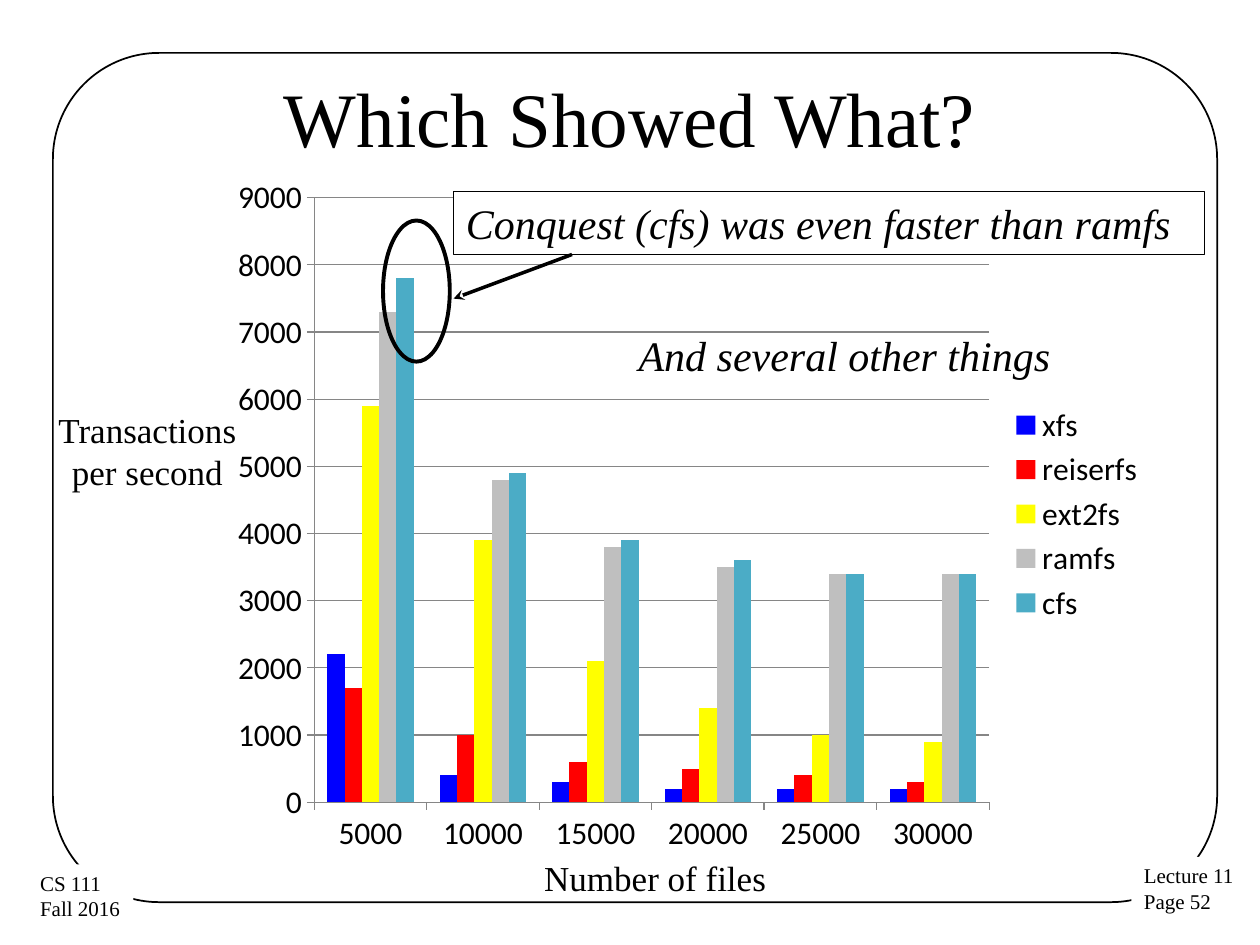
from dataclasses import dataclass

import lxml.etree
import pptx
import pptx.chart.chart
import pptx.chart.data
import pptx.dml.color
import pptx.enum.chart
import pptx.enum.shapes
import pptx.enum.text
import pptx.oxml
import pptx.oxml.ns
import pptx.shapes.base
import pptx.slide
import pptx.util

Inches, Pt = pptx.util.Inches, pptx.util.Pt
RGBColor = pptx.dml.color.RGBColor
Shape = pptx.enum.shapes.MSO_SHAPE
Align = pptx.enum.text.PP_ALIGN
Anchor = pptx.enum.text.MSO_ANCHOR
qn = pptx.oxml.ns.qn

BLACK = RGBColor(0x00, 0x00, 0x00)
WHITE = RGBColor(0xFF, 0xFF, 0xFF)
GRID_GRAY = RGBColor(0x86, 0x86, 0x86)
BLUE = RGBColor(0x00, 0x00, 0xFF)
RED = RGBColor(0xFF, 0x00, 0x00)
YELLOW = RGBColor(0xFF, 0xFF, 0x00)
SILVER = RGBColor(0xBF, 0xBF, 0xBF)
TEAL = RGBColor(0x4B, 0xAC, 0xC6)

Box = tuple[float, float, float, float]


@dataclass
class Label:
    lines: list[str]
    box: Box
    size: float
    italic: bool = False
    align: Align = Align.LEFT
    anchor: Anchor = Anchor.TOP
    wrap: bool = False
    fill: RGBColor | None = None
    outline: float | None = None


@dataclass
class FileSystem:
    name: str
    rates: list[int]
    color: RGBColor


FILE_COUNTS = [5000, 10000, 15000, 20000, 25000, 30000]
FILE_SYSTEMS = [
    FileSystem("xfs", [2200, 400, 300, 200, 200, 200], BLUE),
    FileSystem("reiserfs", [1700, 1000, 600, 500, 400, 300], RED),
    FileSystem("ext2fs", [5900, 3900, 2100, 1400, 1000, 900], YELLOW),
    FileSystem("ramfs", [7300, 4800, 3800, 3500, 3400, 3400], SILVER),
    FileSystem("cfs", [7800, 4900, 3900, 3600, 3400, 3400], TEAL),
]

FRAME_LABELS = [
    Label(["Lecture 11", "Page 52"], (8.98, 6.8, 0.92, 0.51), 12, fill=WHITE),
    Label(["CS 111", "Fall 2016"], (0.22, 6.86, 0.84, 0.51), 12, fill=WHITE),
    Label(["Which Showed What?"], (0.5, 0.3, 9, 1.25), 44,
          align=Align.CENTER, anchor=Anchor.MIDDLE, wrap=True),
]
CHART_LABELS = [
    Label(["Number of files"], (4.22, 6.75, 1.99, 0.44), 20),
    Label(["Transactions per second"], (0.31, 3.19, 1.72, 0.77), 20,
          align=Align.CENTER, wrap=True),
    Label(["Conquest (cfs) was even faster than ramfs"],
          (3.6, 1.52, 5.96, 0.5), 24, italic=True, fill=WHITE, outline=0.75),
    Label(["And several other things"], (4.97, 2.57, 3.63, 0.5), 24, italic=True),
]


def add_label(slide: pptx.slide.Slide, label: Label) -> None:
    text_box = slide.shapes.add_textbox(*map(Inches, label.box))
    if label.fill is not None:
        text_box.fill.solid()
        text_box.fill.fore_color.rgb = label.fill
    if label.outline is not None:
        text_box.line.color.rgb = BLACK
        text_box.line.width = Pt(label.outline)
    frame = text_box.text_frame
    frame.word_wrap = label.wrap
    frame.vertical_anchor = label.anchor
    frame.text = "\n".join(label.lines)
    font_format = {"name": "Times New Roman", "size": Pt(label.size),
                   "italic": label.italic}
    for paragraph in frame.paragraphs:
        paragraph.alignment = label.align
        font = paragraph.runs[0].font
        font.color.rgb = BLACK
        for attribute, value in font_format.items():
            setattr(font, attribute, value)


def add_outline(slide: pptx.slide.Slide, kind: Shape, box: Box,
                width: float) -> pptx.shapes.base.BaseShape:
    outline = slide.shapes.add_shape(kind, *map(Inches, box))
    outline.shadow.inherit = False
    outline.fill.background()
    outline.line.color.rgb = BLACK
    outline.line.width = Pt(width)
    return outline


def add_arrow(slide: pptx.slide.Slide, start: tuple[float, float],
              end: tuple[float, float]) -> None:
    arrow = slide.shapes.add_connector(
        pptx.enum.shapes.MSO_CONNECTOR.STRAIGHT, *map(Inches, start + end))
    arrow.line.color.rgb = BLACK
    arrow.line.width = Pt(2)
    line = arrow.line._get_or_add_ln()
    lxml.etree.SubElement(line, qn("a:tailEnd"), type="stealth")
    lxml.etree.SubElement(arrow._element.spPr, qn("a:effectLst"))


def place_plot(chart: pptx.chart.chart.Chart, box: Box) -> None:
    """Fix the inner plot area, given as fractions of the chart."""
    plot_area = chart._chartSpace.chart.plotArea
    for old in plot_area.findall(qn("c:layout")):
        plot_area.remove(old)
    layout = pptx.oxml.parse_xml(
        f"<c:layout {pptx.oxml.ns.nsdecls('c')}><c:manualLayout/></c:layout>")
    settings = {"layoutTarget": "inner", "xMode": "edge", "yMode": "edge",
                **dict(zip("xywh", map(str, box)))}
    for tag, value in settings.items():
        lxml.etree.SubElement(layout[0], qn(f"c:{tag}"), val=value)
    plot_area.insert(0, layout)


def add_rate_chart(slide: pptx.slide.Slide, box: Box) -> None:
    rates = pptx.chart.data.CategoryChartData(number_format="General")
    rates.categories = FILE_COUNTS
    for system in FILE_SYSTEMS:
        rates.add_series(system.name, system.rates)
    chart = slide.shapes.add_chart(
        pptx.enum.chart.XL_CHART_TYPE.COLUMN_CLUSTERED,
        *map(Inches, box), rates).chart
    chart.has_title = False
    chart.has_legend = True
    chart.legend.position = pptx.enum.chart.XL_LEGEND_POSITION.RIGHT
    chart.legend.include_in_layout = False
    chart.font.name = "Calibri"
    chart.font.size = Pt(18)
    chart.font.color.rgb = BLACK

    # Bars
    plot = chart.plots[0]
    for attribute, value in {"gap_width": 150, "overlap": 0,
                             "vary_by_categories": False}.items():
        setattr(plot, attribute, value)
    for series, system in zip(plot.series, FILE_SYSTEMS):
        series.invert_if_negative = False
        series.format.fill.solid()
        series.format.fill.fore_color.rgb = system.color

    # Axes and gridlines
    rate_axis = chart.value_axis
    rate_format = {"minimum_scale": 0, "maximum_scale": 9000,
                   "major_unit": 1000, "has_major_gridlines": True}
    for attribute, value in rate_format.items():
        setattr(rate_axis, attribute, value)
    for axis in (chart.category_axis, rate_axis):
        axis.major_tick_mark = pptx.enum.chart.XL_TICK_MARK.OUTSIDE
        axis.tick_labels.font.size = Pt(18)
    for part in (chart.category_axis, rate_axis, rate_axis.major_gridlines):
        part.format.line.color.rgb = GRID_GRAY
        part.format.line.width = Pt(0.75)
    place_plot(chart, (0.1, 0.05, 0.72, 0.86))


def main() -> None:
    deck = pptx.Presentation()
    deck.slide_width, deck.slide_height = Inches(10), Inches(7.5)
    slide = deck.slides.add_slide(deck.slide_layouts[6])

    # Frame, corner notes and title
    border = add_outline(slide, Shape.ROUNDED_RECTANGLE, (0.42, 0.42, 9.24, 6.74), 1)
    border.adjustments[0] = 0.125
    for label in FRAME_LABELS:
        add_label(slide, label)

    # Chart with its axis names and remarks
    add_rate_chart(slide, (1.75, 1.29, 7.44, 5.58))
    for label in CHART_LABELS:
        add_label(slide, label)

    # Highlight of the fastest result
    add_arrow(slide, (4.54, 2.02), (3.6, 2.37))
    add_outline(slide, Shape.OVAL, (3.04, 1.75, 0.53, 1.12), 2.25)

    deck.save("out.pptx")


if __name__ == "__main__":
    main()
